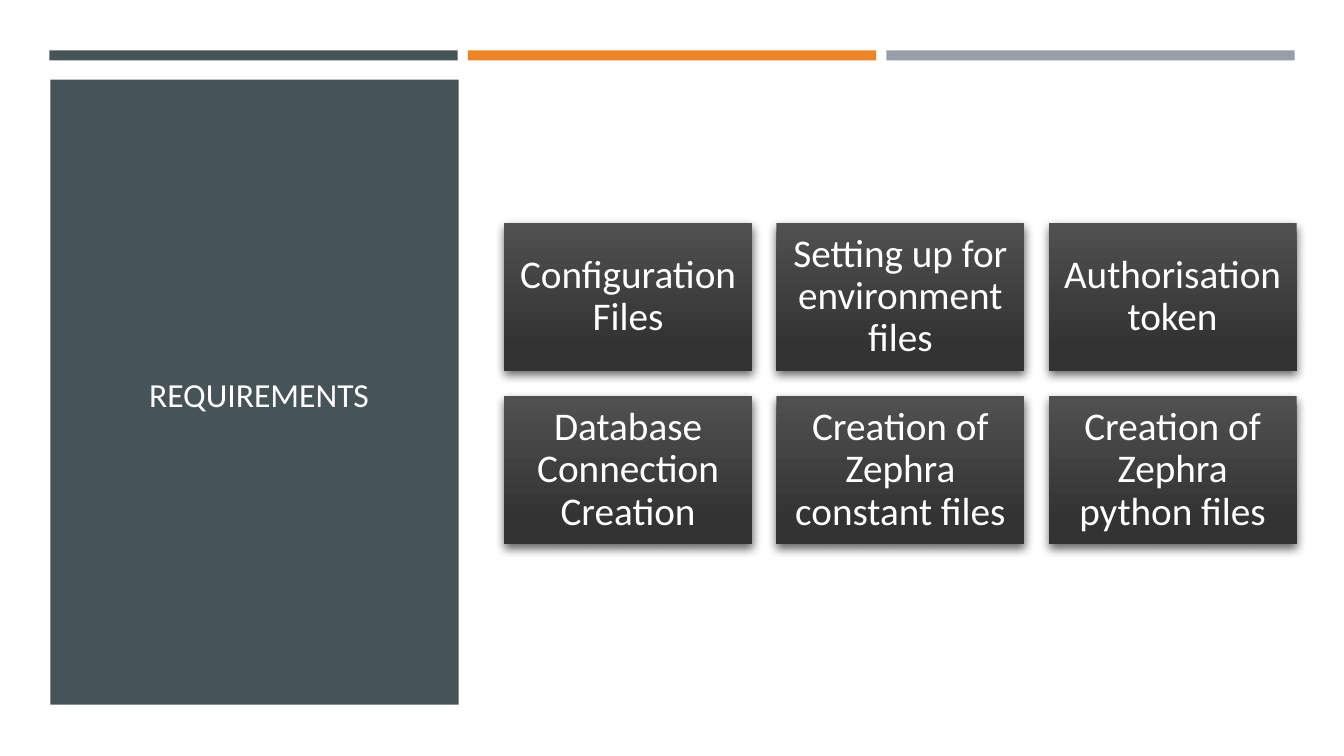
from dataclasses import dataclass

from lxml.etree import SubElement
from pptx import Presentation
from pptx.dml.color import RGBColor
from pptx.enum.shapes import MSO_SHAPE
from pptx.enum.text import MSO_ANCHOR, PP_ALIGN
from pptx.oxml.ns import qn
from pptx.shapes.autoshape import Shape
from pptx.slide import Slide
from pptx.text.text import TextFrame
from pptx.util import Inches, Pt

COLORS = {
    "slate": "465359",
    "orange": "ED8428",
    "gray": "969FA7",
    "white": "FFFFFF",
    "card_top": "505050",
    "card_bottom": "333333",
    "shadow": "000000",
}
FONT = "Calibri"
REQUIREMENTS = [
    "Configuration Files",
    "Setting up for environment files",
    "Authorisation token",
    "Database Connection Creation",
    "Creation of Zephra constant files",
    "Creation of Zephra python files",
]
COLUMNS = 3


@dataclass(frozen=True)
class Box:
    """Position and size in inches."""

    left: float
    top: float
    width: float
    height: float

    def lengths(self) -> tuple[Inches, Inches, Inches, Inches]:
        """Return the four measures as lengths."""
        return Inches(self.left), Inches(self.top), Inches(self.width), Inches(self.height)


@dataclass(frozen=True)
class Band:
    """A flat coloured rectangle."""

    box: Box
    color: str


@dataclass(frozen=True)
class Card:
    """A requirement on a shaded tile."""

    box: Box
    text: str


BANDS = [
    Band(Box(0.49 + 4.15 * index, 0.5, 4.05, 0.1), color)
    for index, color in enumerate(["slate", "orange", "gray"])
] + [Band(Box(0.5, 0.79, 4.05, 6.2), "slate")]

CARDS = [
    Card(Box(5 + 2.7 * (index % COLUMNS), 2.21 + 1.72 * (index // COLUMNS), 2.46, 1.47), text)
    for index, text in enumerate(REQUIREMENTS)
]


def rgb(color: str) -> RGBColor:
    """Look up a named colour."""
    return RGBColor.from_string(COLORS[color])


def add_rectangle(slide: Slide, box: Box) -> Shape:
    """Add a rectangle without outline or shadow."""
    rectangle = slide.shapes.add_shape(MSO_SHAPE.RECTANGLE, *box.lengths())
    rectangle.line.fill.background()
    rectangle.shadow.inherit = False
    return rectangle


def write_text(frame: TextFrame, text: str, size: int, spacing: float) -> None:
    """Write centred white text in the middle of a frame."""
    frame.text = text
    frame.word_wrap = True
    frame.vertical_anchor = MSO_ANCHOR.MIDDLE
    paragraph = frame.paragraphs[0]
    paragraph.alignment = PP_ALIGN.CENTER
    paragraph.line_spacing = spacing
    font = paragraph.runs[0].font
    font.name, font.size, font.bold = FONT, Pt(size), False
    font.color.rgb = rgb("white")


def add_drop_shadow(shape: Shape) -> None:
    """Cast a soft shadow below a shape."""
    effects = shape._element.spPr.find(qn("a:effectLst"))
    shadow = SubElement(
        effects, qn("a:outerShdw"), blurRad=str(Pt(7)), dist=str(Pt(3)),
        dir=str(84 * 60000), algn="ctr", rotWithShape="0",
    )
    color = SubElement(shadow, qn("a:srgbClr"), val=COLORS["shadow"])
    SubElement(color, qn("a:alpha"), val="60000")


def draw_band(slide: Slide, band: Band) -> None:
    """Draw a flat band."""
    fill = add_rectangle(slide, band.box).fill
    fill.solid()
    fill.fore_color.rgb = rgb(band.color)


def draw_card(slide: Slide, card: Card) -> None:
    """Draw a requirement tile with its text."""
    tile = add_rectangle(slide, card.box)
    tile.fill.gradient()
    tile.fill.gradient_angle = 270
    stops = zip(tile.fill.gradient_stops, [(0, "card_top"), (0.84, "card_bottom")])
    for stop, (position, color) in stops:
        stop.position = position
        stop.color.rgb = rgb(color)
    add_drop_shadow(tile)
    frame = tile.text_frame
    frame.margin_left = frame.margin_right = Inches(0.12)
    frame.margin_top = frame.margin_bottom = Inches(0.12)
    write_text(frame, card.text, 28, 0.9)


def draw_title(slide: Slide, text: str, box: Box) -> None:
    """Place the title in front of its panel."""
    title = slide.shapes.title
    title.left, title.top, title.width, title.height = box.lengths()
    write_text(title.text_frame, text, 24, 1.0)
    slide.shapes._spTree.append(title._element)


def main() -> None:
    """Build and save the requirements slide."""
    deck = Presentation()
    deck.slide_width, deck.slide_height = Inches(13.33), Inches(7.5)
    slide = deck.slides.add_slide(deck.slide_layouts[5])
    for band in BANDS:
        draw_band(slide, band)
    draw_title(slide, "REQUIREMENTS", Box(0.88, 1.32, 3.38, 5.18))
    for card in CARDS:
        draw_card(slide, card)
    deck.save("out.pptx")


main()
